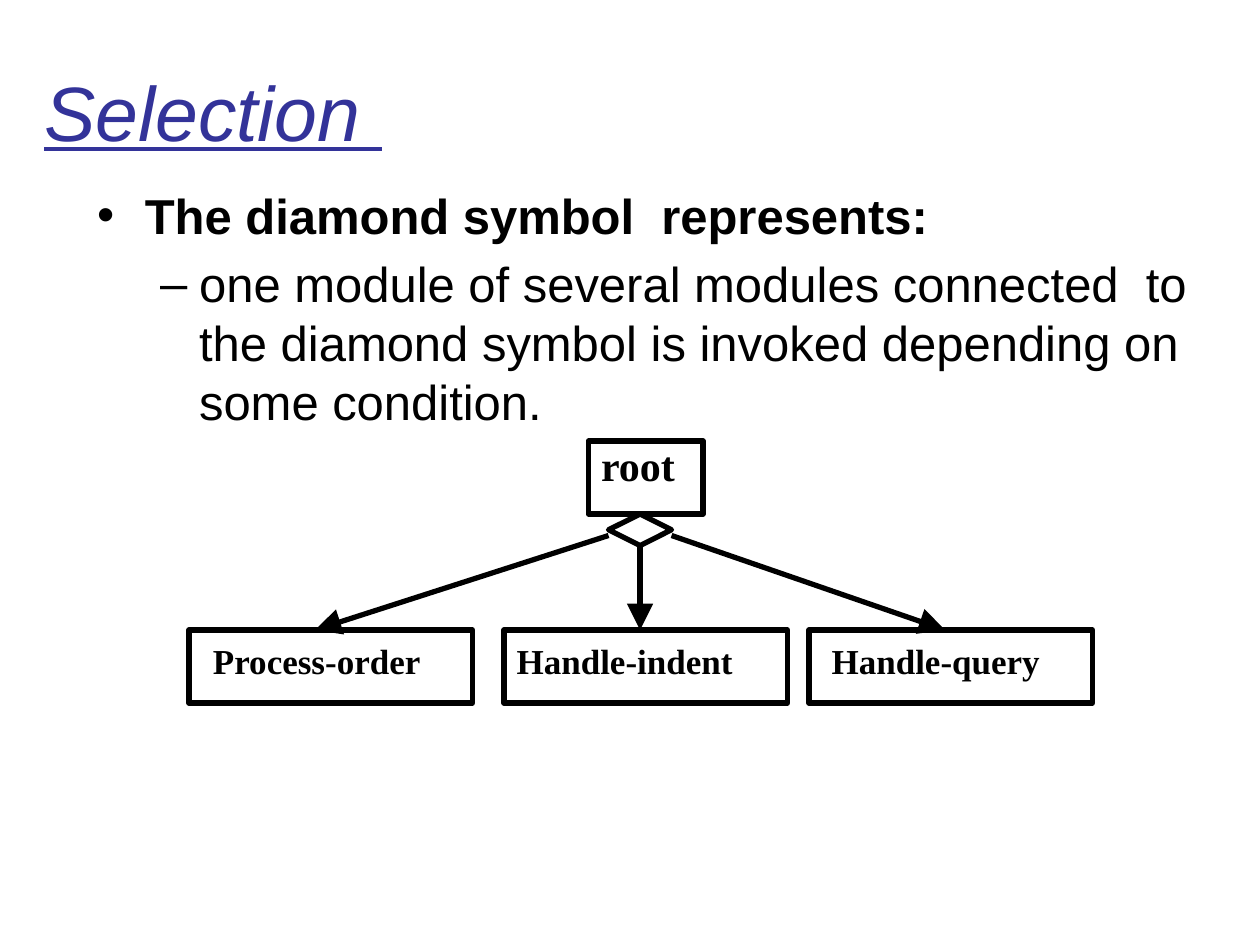
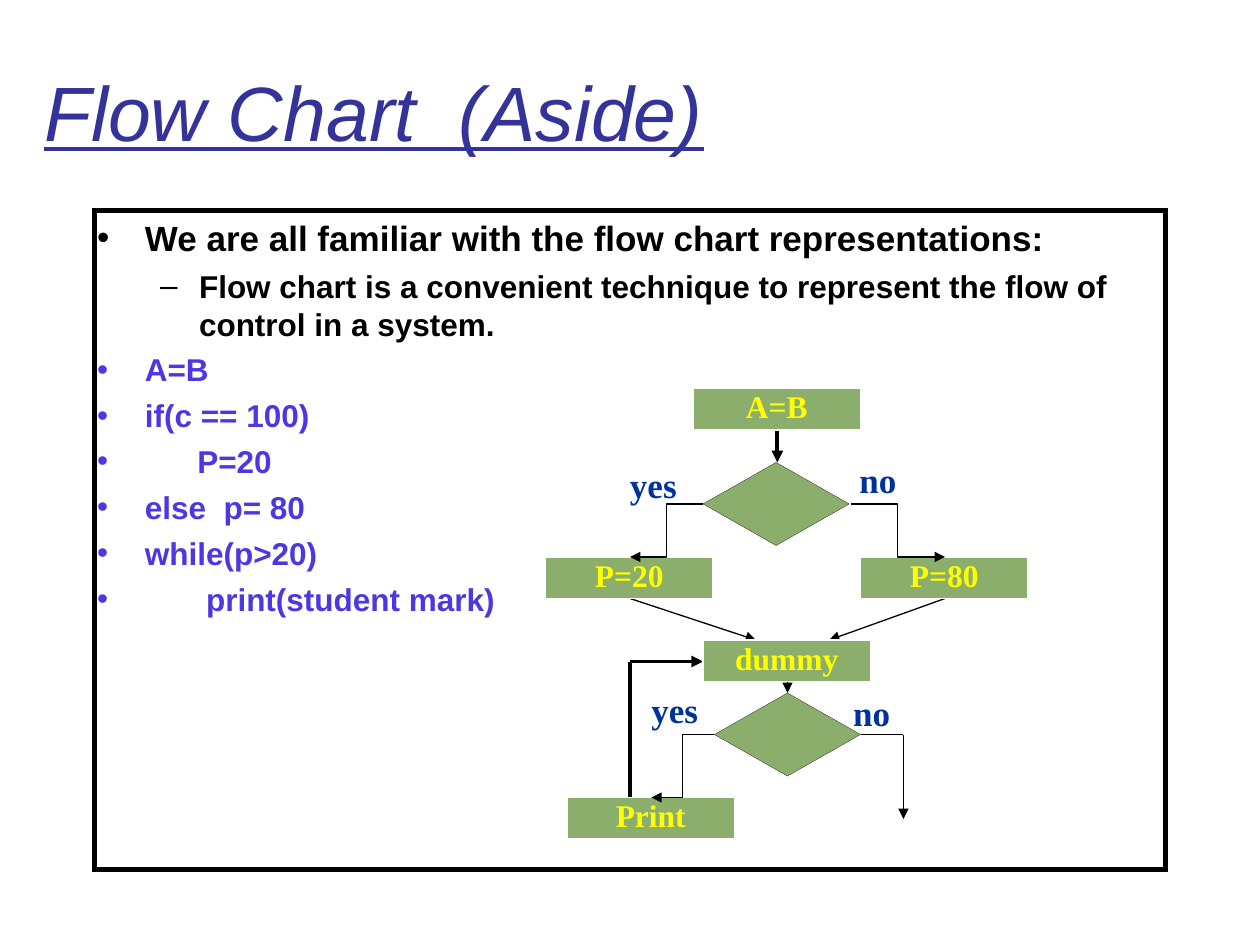
from dataclasses import dataclass

import pptx
import pptx.dml.color
import pptx.enum.shapes
import pptx.enum.text
import pptx.oxml
import pptx.oxml.ns
import pptx.util

SHAPES = pptx.enum.shapes.MSO_SHAPE
CONNECTORS = pptx.enum.shapes.MSO_CONNECTOR
ANCHORS = pptx.enum.text.MSO_ANCHOR
ALIGNS = pptx.enum.text.PP_ALIGN


@dataclass(frozen=True)
class Theme:
    sans: str = "Arial"
    serif: str = "Times New Roman"
    ink: str = "000000"
    title: str = "333399"
    code: str = "4C38E2"
    branch: str = "003399"
    node_fill: str = "8BAE6C"
    node_edge: str = "FFFFFF"
    node_text: str = "FFFF00"
    title_size: int = 44
    lead_size: int = 28
    root_size: int = 24
    text_size: int = 20
    small_size: int = 18
    heavy: float = 3
    medium: float = 2.25
    thin: float = 0.75
    hair: float = 0.11
    serif_spacing: float = 0.85


THEME = Theme()
NODE_SIZE = (133, 33)
DECISION_SIZE = (116, 66)
MODULE_SIZE = (225, 58)


# Units and formatting
def px(length):
    """100 px make one inch."""
    return pptx.util.Emu(length * 9144)


def rgb(code):
    return pptx.dml.color.RGBColor.from_string(code)


def element(tag, attributes=""):
    """An empty drawing element."""
    return pptx.oxml.parse_xml(f'<a:{tag} {pptx.oxml.ns.nsdecls("a")} {attributes}/>')


def place(shape, left, top, width, height):
    shape.left, shape.top = px(left), px(top)
    shape.width, shape.height = px(width), px(height)


def set_line(line, color, width):
    line.color.rgb = rgb(color)
    line.width = pptx.util.Pt(width)


def set_frame(frame, anchor=ANCHORS.TOP):
    frame.word_wrap = True
    frame.auto_size = pptx.enum.text.MSO_AUTO_SIZE.NONE
    frame.vertical_anchor = anchor
    frame.margin_left = frame.margin_right = px(2)
    frame.margin_top = frame.margin_bottom = px(5)


def add_span(para, text, font, size, color, bold=False):
    span = para.add_run()
    span.text = text
    span.font.name = font
    span.font.size = pptx.util.Pt(size)
    span.font.color.rgb = rgb(color)
    span.font.bold = bold
    return span


def write_serif(frame, text, size, color, align=ALIGNS.LEFT):
    para = frame.paragraphs[0]
    para.alignment = align
    para.line_spacing = THEME.serif_spacing
    add_span(para, text, THEME.serif, size, color, bold=True)


# Title and bulleted list
def add_page(deck, title):
    page = deck.slides.add_slide(deck.slide_layouts[1])
    box = page.shapes.title
    place(box, 33, 25, 900, 125)
    set_frame(box.text_frame, ANCHORS.MIDDLE)
    para = box.text_frame.paragraphs[0]
    para.alignment = ALIGNS.LEFT
    span = add_span(para, title, THEME.sans, THEME.title_size, THEME.title)
    span.font.italic = span.font.underline = True
    return page


def set_bullet(para, level, color):
    margin, indent, symbol = [(38, -38, "•"), (81, -31, "–")][level]
    para.level = level
    props = para._p.get_or_add_pPr()
    props.set("marL", str(px(margin)))
    props.set("indent", str(px(indent)))
    bullet_color = element("buClr")
    bullet_color.append(element("srgbClr", f'val="{color}"'))
    props.extend([bullet_color, element("buChar", f'char="{symbol}"')])


def fill_list(page, bounds, items):
    """Each item is (level, text, size, color, bold, space before)."""
    body = page.placeholders[1]
    place(body, *bounds)
    frame = body.text_frame
    set_frame(frame)
    for index, (level, text, size, color, bold, before) in enumerate(items):
        para = frame.add_paragraph() if index else frame.paragraphs[0]
        set_bullet(para, level, color)
        para.space_before = pptx.util.Pt(before)
        add_span(para, text, THEME.sans, size, color, bold)
    return body


# Diagram elements
def add_outline(page, preset, bounds, fill, edge, width):
    shape = page.shapes.add_shape(preset, *map(px, bounds))
    shape.shadow.inherit = False
    if fill:
        shape.fill.solid()
        shape.fill.fore_color.rgb = rgb(fill)
    else:
        shape.fill.background()
    set_line(shape.line, edge, width)
    if preset == SHAPES.ROUNDED_RECTANGLE:
        shape.adjustments[0] = 0
    return shape


def add_module(page, left, top, width, height):
    add_outline(page, SHAPES.ROUNDED_RECTANGLE, (left, top, width, height),
                None, THEME.ink, THEME.heavy)


def add_node(page, left, top, text):
    node = add_outline(page, SHAPES.ROUNDED_RECTANGLE, (left, top, *NODE_SIZE),
                       THEME.node_fill, THEME.node_edge, THEME.thin)
    set_frame(node.text_frame, ANCHORS.MIDDLE)
    write_serif(node.text_frame, text, THEME.small_size, THEME.node_text, ALIGNS.CENTER)


def add_decision(page, left, top):
    add_outline(page, SHAPES.DIAMOND, (left, top, *DECISION_SIZE),
                THEME.node_fill, THEME.ink, THEME.hair)


def add_label(page, bounds, text, size, color):
    box = page.shapes.add_textbox(*map(px, bounds))
    set_frame(box.text_frame)
    write_serif(box.text_frame, text, size, color)


def add_link(page, start, end, width, head="med", kind=CONNECTORS.STRAIGHT):
    """Head is the arrowhead size, or None for a plain line."""
    link = page.shapes.add_connector(kind, *map(px, start + end))
    set_line(link.line, THEME.ink, width)
    if head:
        link.line._get_or_add_ln().append(
            element("tailEnd", f'type="triangle" w="{head}" len="{head}"'))
    link._element.spPr.append(element("effectLst"))


# Slides
def build_selection(deck):
    page = add_page(deck, "Selection ")
    fill_list(page, (75, 142, 875, 450), [
        (0, "The diamond symbol  represents:", THEME.lead_size, THEME.ink, True, 0),
        (1, "one module of several modules connected  to the diamond symbol "
            "is invoked depending on some condition.",
         THEME.lead_size, THEME.ink, False, 5.5),
    ])

    # Root module and the modules it selects from
    add_module(page, 467, 350, 91, 58)
    add_label(page, (475, 350, 125, 50), "root", THEME.root_size, THEME.ink)
    modules = [(150, 167, "Process-order"), (400, 408, "Handle-indent"),
               (642, 658, "Handle-query")]
    for left, label_left, text in modules:
        add_module(page, left, 500, *MODULE_SIZE)
        add_label(page, (label_left, 508, 233, 43), text, THEME.text_size, THEME.ink)

    # Selection diamond and its branches
    for start, end in [((483, 425), (250, 500)), ((508, 433), (508, 500)),
                       ((533, 425), (750, 500))]:
        add_link(page, start, end, THEME.heavy, "lg")
    add_outline(page, SHAPES.DIAMOND, (483, 408, 50, 25), None, THEME.ink, THEME.heavy)


def build_flow_chart(deck):
    page = add_page(deck, "Flow Chart  (Aside)")
    code = ["A=B", "if(c == 100)", "      P=20", "else  p= 80",
            "while(p>20)", "       print(student mark)"]
    body = fill_list(page, (75, 167, 850, 523), [
        (0, "We are all familiar with the flow chart representations:",
         THEME.text_size, THEME.ink, True, 0),
        (1, "Flow chart is a convenient technique to represent the flow of "
            "control in a system.", THEME.small_size, THEME.ink, True, 4.6),
        *[(0, text, THEME.small_size, THEME.code, True, 4.6) for text in code],
    ])
    set_line(body.line, THEME.ink, THEME.heavy)
    body.line._get_or_add_ln().append(element("miter", 'lim="800000"'))

    # Straight links: start, end, width, arrowhead
    for start, end, width, head in [
        ((617, 342), (617, 367), THEME.medium, "med"),
        ((500, 633), (500, 525), THEME.medium, None),
        ((500, 525), (558, 525), THEME.medium, "med"),
        ((500, 475), (600, 508), THEME.thin, "med"),
        ((750, 475), (658, 508), THEME.thin, "med"),
        ((625, 541), (625, 550), THEME.thin, "med"),
        ((683, 583), (717, 583), THEME.thin, None),
        ((717, 583), (717, 650), THEME.thin, "med"),
    ]:
        add_link(page, start, end, width, head)

    # Steps and decisions
    for left, top, text in [(550, 308, "A=B"), (433, 442, "P=20"), (683, 442, "P=80"),
                            (558, 508, "dummy"), (450, 633, "Print")]:
        add_node(page, left, top, text)
    add_decision(page, 558, 367)
    add_decision(page, 567, 550)

    # Bent links out of the decisions
    for start, end in [((558, 400), (500, 442)), ((675, 400), (750, 442)),
                       ((567, 583), (517, 633))]:
        add_link(page, start, end, THEME.thin, kind=CONNECTORS.ELBOW)

    # Branch labels
    for left, top, width, text in [(498, 368, 57, "yes"), (680, 364, 49, "no"),
                                   (515, 547, 57, "yes"), (675, 549, 49, "no")]:
        add_label(page, (left, top, width, 43), text, THEME.text_size, THEME.branch)


def main():
    deck = pptx.Presentation()
    deck.slide_width, deck.slide_height = px(1000), px(750)
    build_selection(deck)
    build_flow_chart(deck)
    deck.save("out.pptx")


if __name__ == "__main__":
    main()
